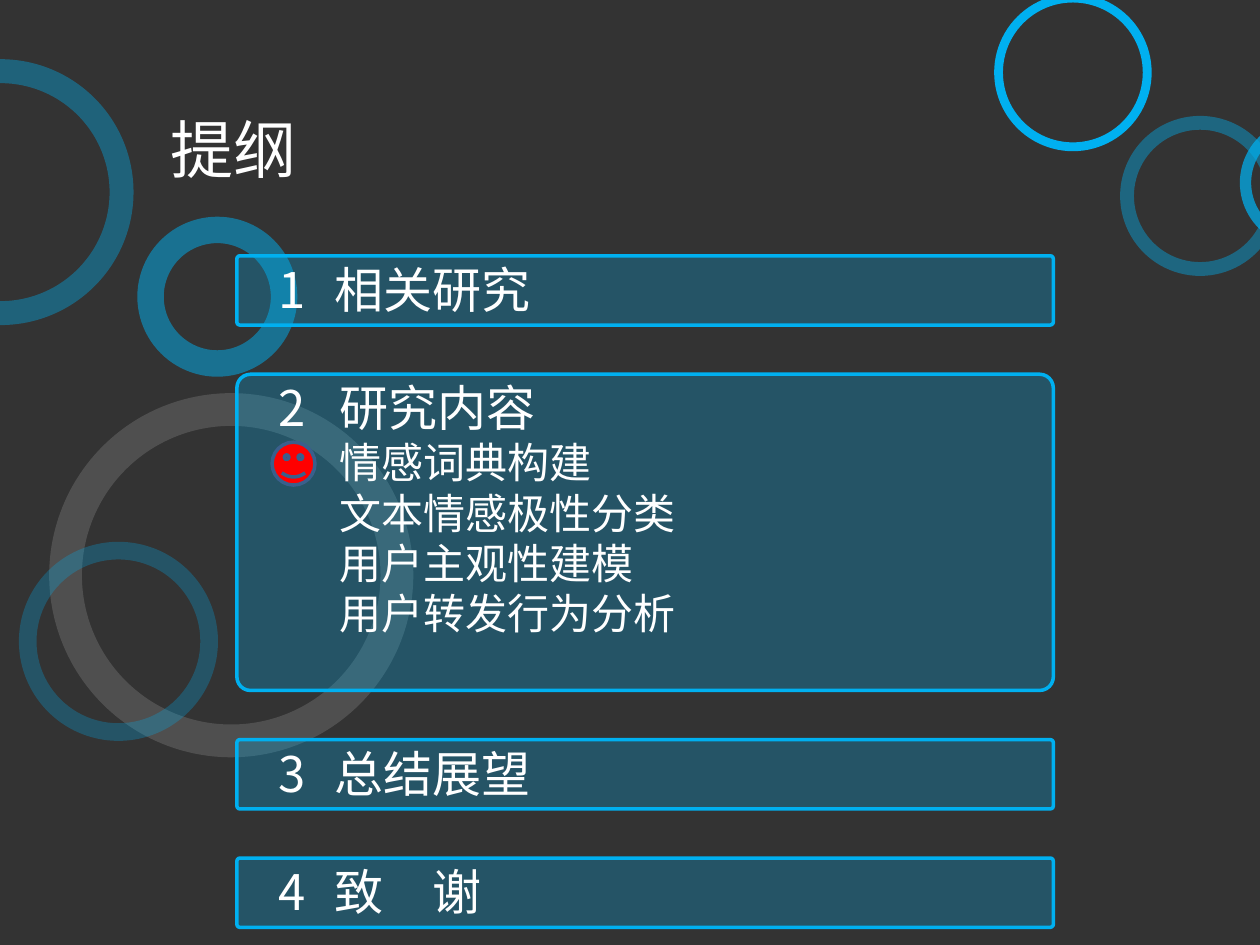
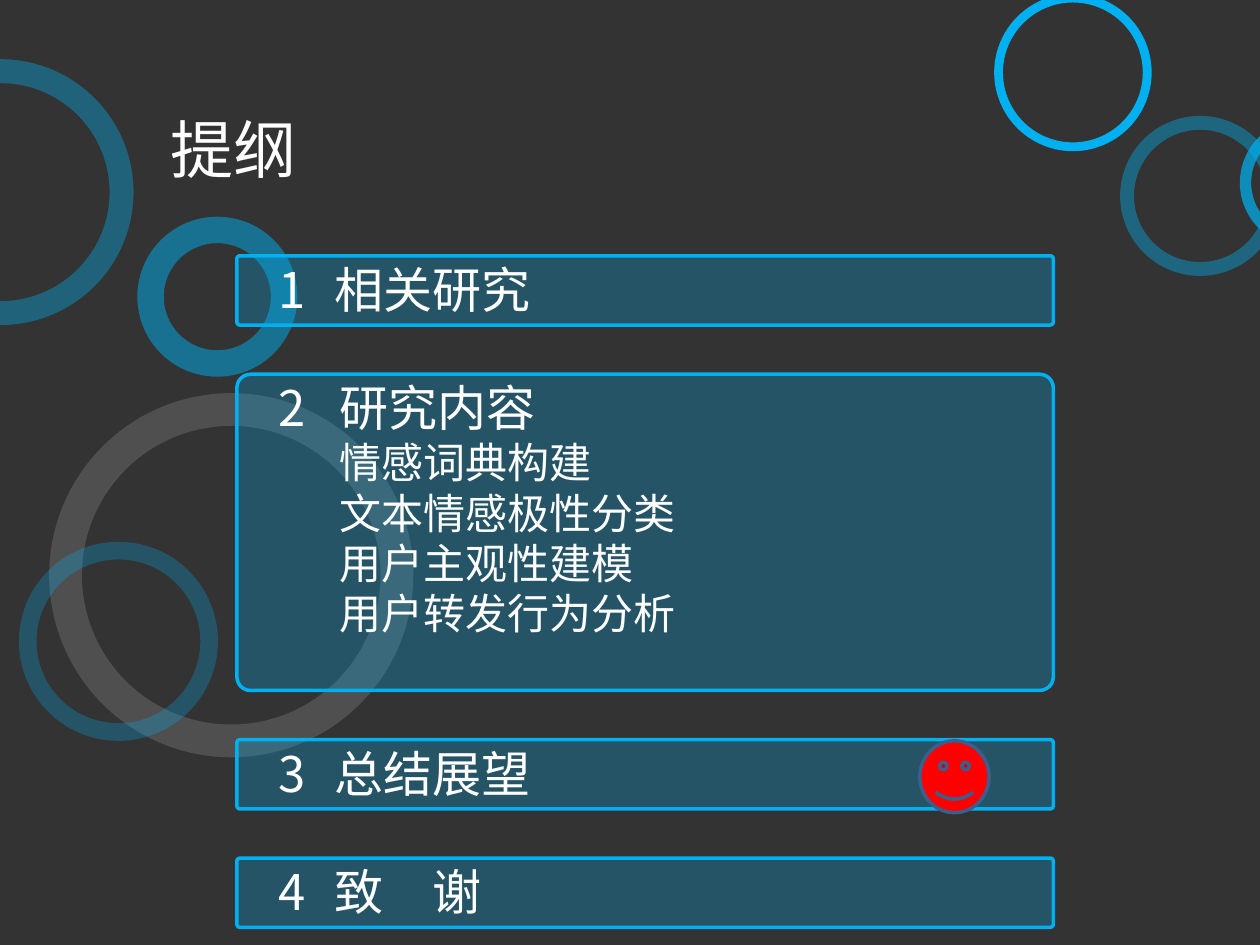
from lxml import etree
from pptx import Presentation
from pptx.dml.color import RGBColor
from pptx.enum import shapes, text
from pptx.oxml import ns
from pptx.util import Inches, Pt

BLUE, WHITE, DARK, RED, EDGE = "00B0F0", "FFFFFF", "333333", "FF0000", "3A5F8C"
HAN, NUM = "Noto Sans CJK SC", "Noto Sans CJK JP"

# Ring: left, top, size, band width, colour, opacity in percent
RINGS = [
    (0.39, 3.12, 2.89, 0.26, WHITE, 14),
    (-1.05, 0.47, 2.11, 0.19, BLUE, 38),
    (0.15, 4.3, 1.58, 0.14, BLUE, 27),
    (1.09, 1.72, 1.27, 0.21, BLUE, 50),
    (8.89, 0.92, 1.27, 0.11, BLUE, 41),
    (7.89, -0.05, 1.25, 0.07, BLUE, 100),
    (9.84, 0.94, 1.02, 0.09, BLUE, 72),
]

# Agenda row: panel height, heading left, heading width, lines
ROWS = [
    (0.55, 2.56, 1.77, ["相关研究"]),
    (2.51, 2.6, 5.76, ["研究内容", "情感词典构建", "文本情感极性分类",
                       "用户主观性建模", "用户转发行为分析"]),
    (0.55, 2.56, 1.77, ["总结展望"]),
    (0.55, 2.56, 1.77, ["致　谢"]),
]
TOP, GAP = 2.03, 0.39

# Marker on each slide: left, top, width, height
MARKS = [(2.16, 3.51, 0.34, 0.34), (7.3, 5.88, 0.55, 0.57)]


def rgb(code):
    return RGBColor.from_string(code)


def write(para, words, size=28, face=HAN, color=WHITE):
    """Put one formatted run into a paragraph."""
    run = para.add_run()
    run.text = words
    font = run.font
    font.size, font.name = Pt(size), face
    font.color.rgb = rgb(color)
    east = etree.SubElement(run._r.get_or_add_rPr(), ns.qn("a:ea"))
    east.set("typeface", face)


class Deck:
    def __init__(self):
        self.prs = Presentation()
        self.prs.slide_width, self.prs.slide_height = Inches(10), Inches(7.5)
        back = self.prs.slide_master.background.fill
        back.solid()
        back.fore_color.rgb = rgb(DARK)
        self.slide = None

    def page(self, title):
        """Start a slide with its title and ring pattern."""
        self.slide = self.prs.slides.add_slide(self.prs.slide_layouts[5])
        head = self.slide.shapes.title
        head.left, head.top = Inches(1.25), Inches(0.83)
        head.width, head.height = Inches(1.21), Inches(0.71)
        self.frame(head, False)
        para = head.text_frame.paragraphs[0]
        para.alignment = text.PP_ALIGN.LEFT
        write(para, title, size=36)
        for left, top, size, band, color, alpha in RINGS:
            ring = self.shape("DONUT", left, top, size, size, color, alpha)
            ring.adjustments[0] = band / size

    def frame(self, box, wrap):
        body = box.text_frame
        body.word_wrap = wrap
        body.auto_size = text.MSO_AUTO_SIZE.SHAPE_TO_FIT_TEXT
        body.vertical_anchor = text.MSO_ANCHOR.TOP
        return body

    def shape(self, kind, left, top, width, height, color, alpha=100, line=None):
        item = self.slide.shapes.add_shape(
            shapes.MSO_SHAPE[kind], Inches(left), Inches(top),
            Inches(width), Inches(height))
        item.shadow.inherit = False
        item.fill.solid()
        item.fill.fore_color.rgb = rgb(color)
        if alpha < 100:
            tint = item.fill._xPr.find(".//" + ns.qn("a:srgbClr"))
            etree.SubElement(tint, ns.qn("a:alpha")).set("val", str(alpha * 1000))
        if line:
            item.line.color.rgb = rgb(line)
            item.line.width = Pt(2)
        else:
            item.line.fill.background()
        return item

    def label(self, left, top, width, height, lines, face=HAN):
        """Add a text box; lines after the first are smaller."""
        box = self.slide.shapes.add_textbox(
            Inches(left), Inches(top), Inches(width), Inches(height))
        body = self.frame(box, len(lines) > 1)
        for i, words in enumerate(lines):
            para = body.add_paragraph() if i else body.paragraphs[0]
            write(para, words, size=24 if i else 28, face=face)

    def rows(self):
        """Stack the agenda panels with equal gaps."""
        top = TOP
        for num, (height, left, width, lines) in enumerate(ROWS, 1):
            panel = self.shape("ROUNDED_RECTANGLE", 1.88, top, 6.48, height,
                               BLUE, 27, BLUE)
            panel.adjustments[0] = 0.043
            tall = 2.19 if len(lines) > 1 else 0.57
            self.label(left, top - 0.02, width, tall, lines)
            self.label(2.11, top - 0.02, 0.4, 0.57, [str(num)], face=NUM)
            top += height + GAP

    def mark(self, left, top, width, height):
        self.shape("SMILEY_FACE", left, top, width, height, RED, line=EDGE)


def main():
    deck = Deck()
    for spot in MARKS:
        deck.page("提纲")
        deck.rows()
        deck.mark(*spot)
    deck.prs.save("out.pptx")


if __name__ == "__main__":
    main()
